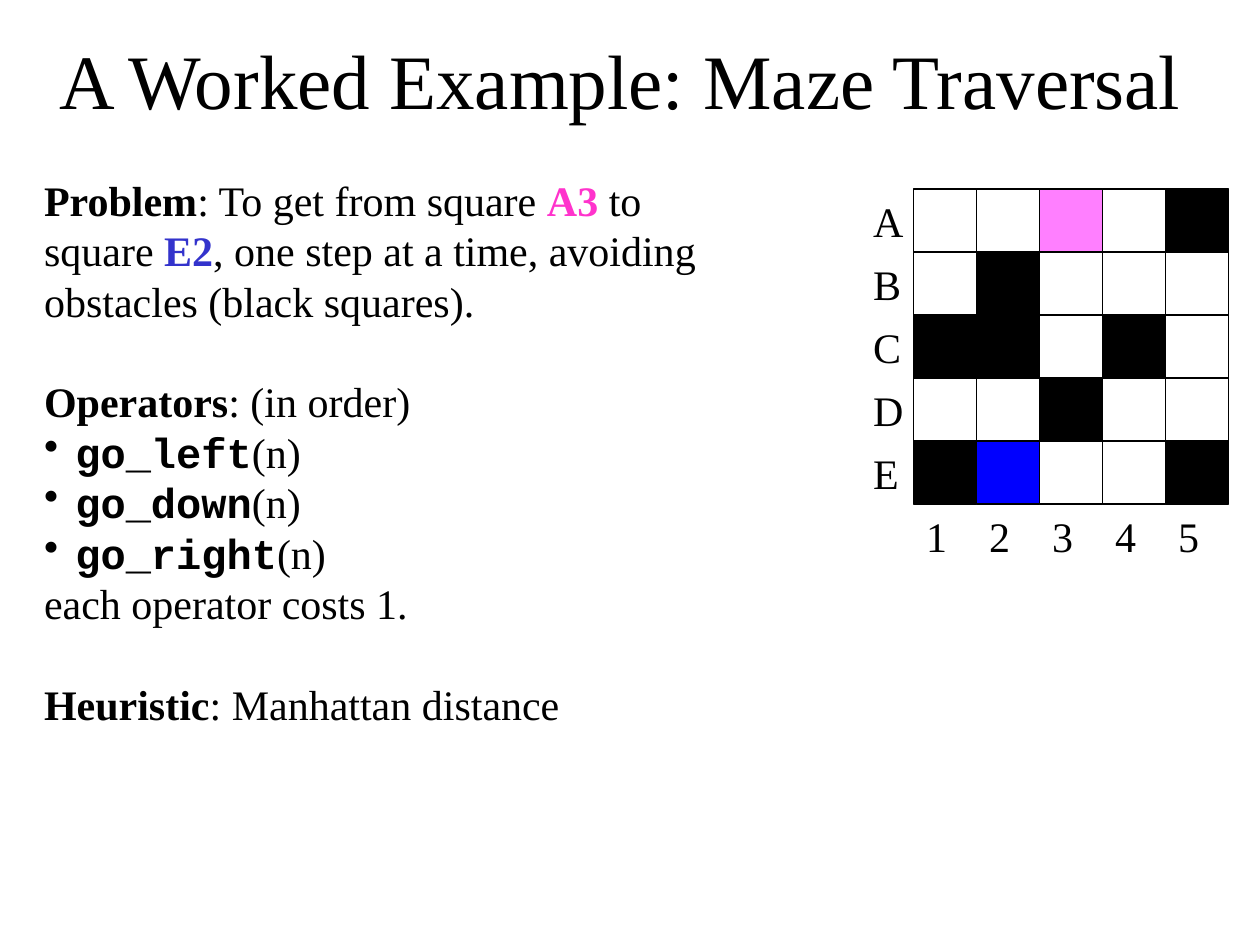
from lxml import etree
from pptx import Presentation
from pptx.dml.color import RGBColor
from pptx.enum.shapes import MSO_SHAPE
from pptx.enum.text import MSO_ANCHOR, MSO_AUTO_SIZE, PP_ALIGN
from pptx.oxml.ns import qn
from pptx.util import Cm, Pt

RECTANGLE = MSO_SHAPE.RECTANGLE
MIDDLE = MSO_ANCHOR.MIDDLE
NO_AUTOFIT, GROW = MSO_AUTO_SIZE.NONE, MSO_AUTO_SIZE.SHAPE_TO_FIT_TEXT
CENTER, LEFT = PP_ALIGN.CENTER, PP_ALIGN.LEFT

COLORS = {
    "black": "000000",
    "start": "FF00FF",
    "goal": "0000FF",
    "start_text": "FF33CC",
    "goal_text": "3333CC",
}
SERIF, MONO = "Times New Roman", "Courier New"
BOLD = {"bold": True}
CODE = {"bold": True, "font": MONO}

TITLE = "A Worked Example: Maze Traversal "
OPERATORS = ["go_left", "go_down", "go_right"]

# Each paragraph: its runs as (text, format), then its paragraph format
PARAGRAPHS = [
    ([("Problem", BOLD), (": To get from square ", {}),
      ("A3", {"bold": True, "color": "start_text"}), (" to square ", {}),
      ("E2", {"bold": True, "color": "goal_text"}),
      (", one step at a time, avoiding obstacles (black squares).", {})], {}),
    ([("Operators", BOLD), (": (in order)", {})], {"gap": True}),
    *[([(name, CODE), ("(n)", {})], {"bullet": True}) for name in OPERATORS],
    ([("each operator costs 1.", {})], {}),
    ([("Heuristic", BOLD), (": Manhattan distance", {})], {"gap": True}),
]

# # obstacle, S start, G goal, . free square
MAZE = {
    "A": "..S.#",
    "B": ".#...",
    "C": "##.#.",
    "D": "..#..",
    "E": "#G..#",
}
SQUARE_FILLS = {"#": ("black", 100), "S": ("start", 50), "G": ("goal", 100)}

SQUARE = 1.27
MAZE_LEFT, MAZE_TOP = 18.42, 3.81
ROW_LABEL_LEFT, ROW_LABEL_WIDTH = 17.35, 1.1
COLUMN_LABEL_WIDTH = 0.91
LINE_HEIGHT = Pt(28.8)
BULLET_INDENT = Cm(0.63)


def rgb(name):
    return RGBColor.from_string(COLORS[name])


def add_run(paragraph, text, size=24, font=SERIF, color="black", bold=False):
    run = paragraph.add_run()
    run.text = text
    run.font.size = Pt(size)
    run.font.name = font
    run.font.bold = bold
    run.font.color.rgb = rgb(color)


def add_bullet(paragraph):
    properties = paragraph._p.get_or_add_pPr()
    properties.set("marL", str(BULLET_INDENT))
    properties.set("indent", str(-BULLET_INDENT))
    bullet = etree.SubElement(properties, qn("a:buChar"))
    bullet.set("char", "•")


def add_text_box(slide, left, top, width, height, wrap):
    box = slide.shapes.add_textbox(Cm(left), Cm(top), Cm(width), Cm(height))
    box.text_frame.word_wrap = wrap
    box.text_frame.auto_size = GROW
    return box.text_frame


def add_title(slide):
    title = slide.shapes.title
    title.left, title.top = Cm(0), Cm(0)
    title.width, title.height = Cm(25.4), Cm(3.18)
    frame = title.text_frame
    frame.vertical_anchor = MIDDLE
    frame.auto_size = NO_AUTOFIT
    frame.paragraphs[0].alignment = CENTER
    add_run(frame.paragraphs[0], TITLE, size=44)


def add_description(slide):
    frame = add_text_box(slide, 0.64, 3.39, 14.81, 11.43, wrap=True)
    for index, (runs, layout) in enumerate(PARAGRAPHS):
        paragraph = frame.add_paragraph() if index else frame.paragraphs[0]
        paragraph.alignment = LEFT
        if layout.get("gap"):
            paragraph.space_before = LINE_HEIGHT
        if layout.get("bullet"):
            add_bullet(paragraph)
        for text, run_format in runs:
            add_run(paragraph, text, **run_format)


def add_square(slide, left, top, kind):
    square = slide.shapes.add_shape(
        RECTANGLE, Cm(left), Cm(top), Cm(SQUARE), Cm(SQUARE))
    square.shadow.inherit = False
    square.line.color.rgb = rgb("black")
    square.line.width = Pt(0.75)
    if kind not in SQUARE_FILLS:
        square.fill.background()
        return
    color, opacity = SQUARE_FILLS[kind]
    square.fill.solid()
    square.fill.fore_color.rgb = rgb(color)
    if opacity < 100:
        fill_color = square._element.spPr.find(qn("a:solidFill"))[0]
        alpha = etree.SubElement(fill_color, qn("a:alpha"))
        alpha.set("val", str(opacity * 1000))


def add_label(slide, text, left, top, width):
    frame = add_text_box(slide, left, top, width, SQUARE, wrap=False)
    add_run(frame.paragraphs[0], text)


def add_maze(slide):
    for row, squares in enumerate(MAZE.values()):
        for column, kind in enumerate(squares):
            add_square(slide, MAZE_LEFT + column * SQUARE,
                       MAZE_TOP + row * SQUARE, kind)
    for column in range(len(MAZE["A"])):
        add_label(slide, str(column + 1), MAZE_LEFT + column * SQUARE,
                  MAZE_TOP + len(MAZE) * SQUARE, COLUMN_LABEL_WIDTH)
    for row, name in enumerate(MAZE):
        add_label(slide, name, ROW_LABEL_LEFT, MAZE_TOP + row * SQUARE,
                  ROW_LABEL_WIDTH)


def main():
    presentation = Presentation()
    presentation.slide_width, presentation.slide_height = Cm(25.4), Cm(19.05)
    slide = presentation.slides.add_slide(presentation.slide_layouts[5])
    add_title(slide)
    add_maze(slide)
    add_description(slide)
    presentation.save("out.pptx")


if __name__ == "__main__":
    main()
